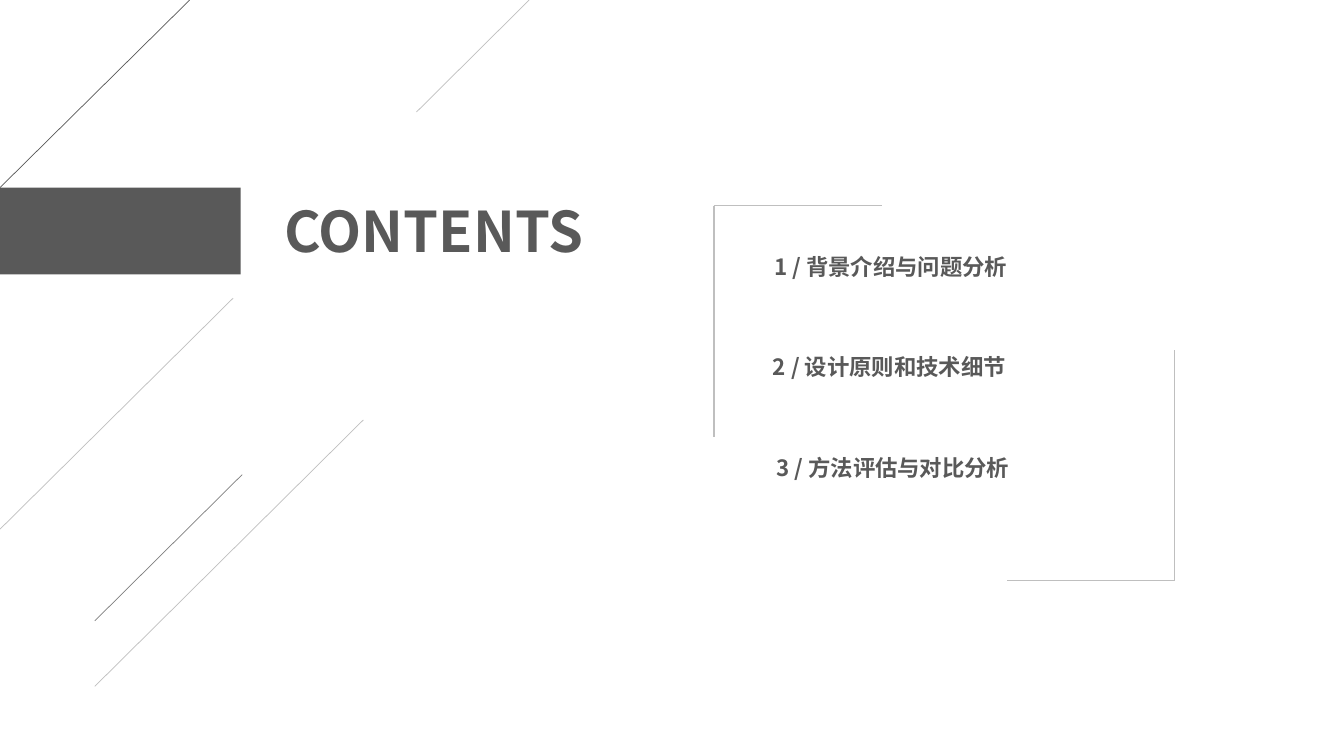
from lxml import etree
from pptx import Presentation
from pptx import util as u
from pptx.dml.color import RGBColor
from pptx.enum import shapes, text
from pptx.oxml import ns

FONT = "Noto Sans CJK SC"
DARK, MID, LIGHT = "595959", "808080", "BFBFBF"


def paint(color_format, hex_color):
    color_format.rgb = RGBColor.from_string(hex_color)


class ContentsSlide:
    def __init__(self, deck):
        self.font = FONT
        self.slide = deck.slides.add_slide(deck.slide_layouts[6])

    def line(self, start, end, color=LIGHT, width=0.5):
        stroke = self.slide.shapes.add_connector(
            shapes.MSO_CONNECTOR.STRAIGHT, *map(u.Pt, (*start, *end)))
        paint(stroke.line.color, color)
        stroke.line.width = u.Pt(width)
        etree.SubElement(stroke._element.spPr, ns.qn("a:effectLst"))

    def bar(self, left, top, width, height, color=DARK):
        block = self.slide.shapes.add_shape(
            shapes.MSO_SHAPE.RECTANGLE, *map(u.Pt, (left, top, width, height)))
        block.shadow.inherit = False
        block.fill.solid()
        paint(block.fill.fore_color, color)
        block.line.fill.background()

    def label(self, wording, left, top, width, height, size):
        frame = self.slide.shapes.add_textbox(
            *map(u.Pt, (left, top, width, height))).text_frame
        frame.word_wrap = True
        frame.auto_size = text.MSO_AUTO_SIZE.SHAPE_TO_FIT_TEXT
        paragraph = frame.paragraphs[0]
        paragraph.text = wording
        font = paragraph.font
        font.size, font.bold, font.name = u.Pt(size), True, self.font
        font.fill.solid()
        paint(font.fill.fore_color, DARK)
        defaults = paragraph._p.pPr.find(ns.qn("a:defRPr"))
        etree.SubElement(defaults, ns.qn("a:ea"), typeface=self.font)


def main():
    deck = Presentation()
    deck.slide_width, deck.slide_height = u.Pt(960), u.Pt(540)
    contents = ContentsSlide(deck)

    diagonals = [
        ((135.5, 0), (0, 134), DARK),
        ((378, 0), (297.5, 80), LIGHT),
        ((166.5, 213), (0, 378), LIGHT),
        ((259.5, 300), (67.7, 490.3), LIGHT),
        ((173, 339), (67.7, 443.5), MID),
    ]
    for start, end, color in diagonals:
        contents.line(start, end, color)

    contents.bar(0, 134, 172, 62)
    contents.label("CONTENTS", 196, 137, 245, 55.5, 40)

    # Each frame corner has a horizontal and a vertical arm.
    for x, y, direction in ((510, 147, 1), (839, 414.7, -1)):
        contents.line((x, y), (x + direction * 120, y), width=1)
        contents.line((x, y), (x, y + direction * 165), width=1)

    topics = [("背景介绍与问题分析", 546), ("设计原则和技术细节", 545),
              ("方法评估与对比分析", 547.5)]
    for index, (topic, left) in enumerate(topics):
        contents.label(f"{index + 1} / {topic}", left, 177 + 72 * index,
                       230, 26.6, 16)

    deck.save("out.pptx")


if __name__ == "__main__":
    main()
